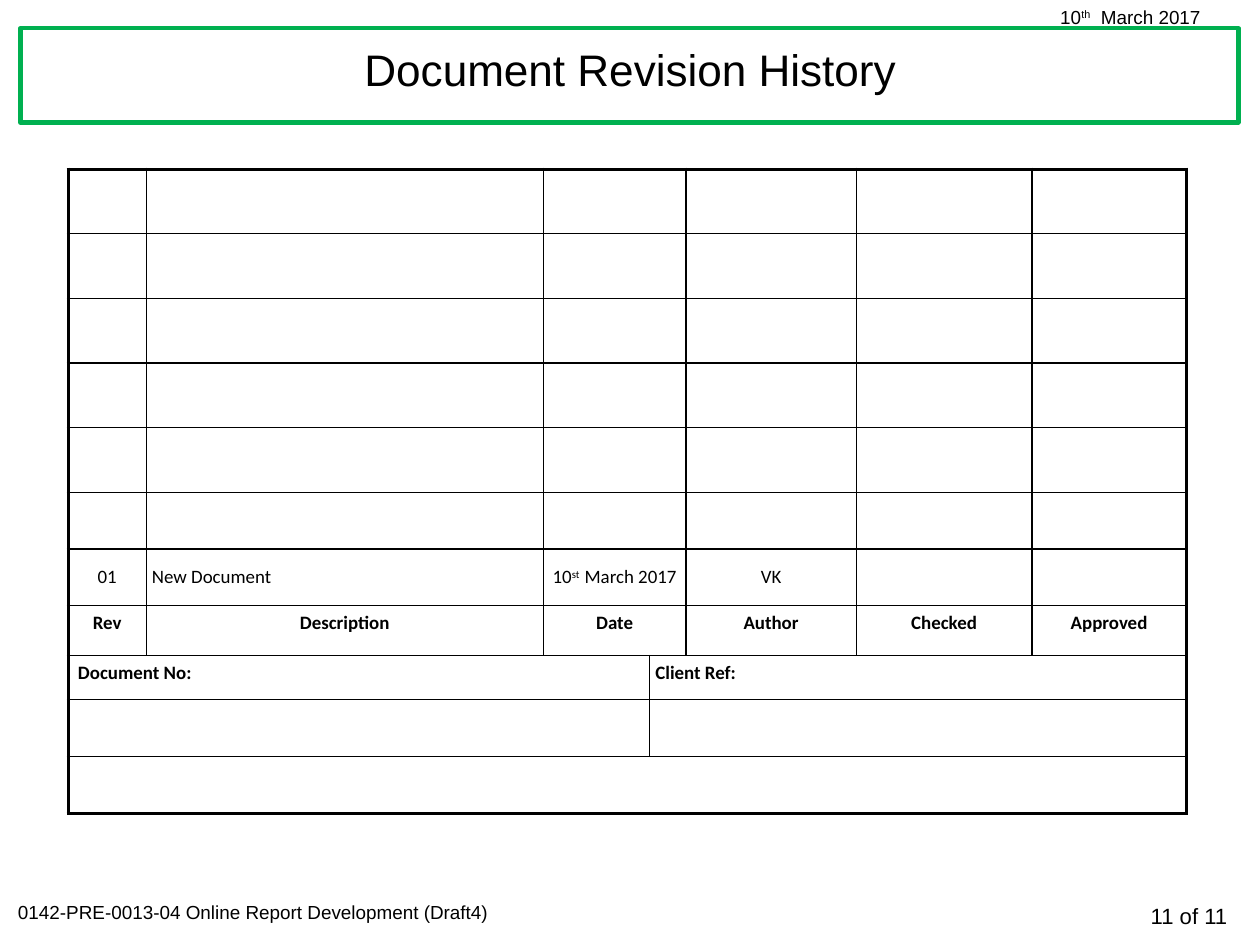
from lxml import etree
from pptx import Presentation
from pptx.dml.color import RGBColor
from pptx.enum.shapes import MSO_SHAPE
from pptx.enum.text import MSO_ANCHOR, PP_ALIGN
from pptx.oxml.ns import qn
from pptx.util import Inches, Pt

RECTANGLE = MSO_SHAPE.RECTANGLE
LEFT, CENTER, RIGHT = PP_ALIGN.LEFT, PP_ALIGN.CENTER, PP_ALIGN.RIGHT
TOP, MIDDLE = MSO_ANCHOR.TOP, MSO_ANCHOR.MIDDLE

BLACK, WHITE, GREEN = "000000", "FFFFFF", "00B050"
THIN, THICK = 1, 2.25
COLUMN_WIDTHS = [0.69, 3.5, 0.94, 0.32, 1.5, 1.55, 1.36]
ROW_HEIGHTS = [0.57] * 5 + [0.5, 0.5, 0.44, 0.39, 0.5, 0.5]
REVISION_SPANS = [(0, 0), (1, 1), (2, 3), (4, 4), (5, 5), (6, 6)]
REFERENCE_SPANS = [(0, 2), (3, 6)]
ROW_SPANS = [REVISION_SPANS] * 8 + [REFERENCE_SPANS] * 2 + [[(0, 6)]]
REVISION_ROW, HEADING_ROW, REFERENCE_ROW = 6, 7, 8
REVISION = {0: "01", 1: "New Document", 2: [("10", 0), ("st  ", 30), ("March 2017", 0)], 4: "VK"}
HEADINGS = {0: "Rev", 1: "Description", 2: "Date", 4: "Author", 5: "Checked", 6: "Approved"}
REFERENCES = {0: " Document No:", 3: "Client Ref:"}


def color(value):
    return RGBColor.from_string(value)


def write(frame, text, font="Arial", size=12, bold=False, align=LEFT,
          line_spacing=None, space_before=None):
    para = frame.paragraphs[0]
    para.alignment = align
    para.line_spacing = line_spacing
    para.space_before = space_before
    spans = [(text, 0)] if isinstance(text, str) else text
    for content, baseline in spans:
        span = para.add_run()
        span.text = content
        span.font.name = font
        span.font.size = Pt(size)
        span.font.bold = bold
        span.font.color.rgb = color(BLACK)
        if baseline:
            span.font._element.set("baseline", str(baseline * 1000))


class Page:
    def __init__(self, deck):
        self.shapes = deck.slides.add_slide(deck.slide_layouts[6]).shapes

    def frame(self, left, top, width, height):
        box = self.shapes.add_shape(RECTANGLE, Inches(left), Inches(top),
                                    Inches(width), Inches(height))
        box.shadow.inherit = False
        box.fill.solid()
        box.fill.fore_color.rgb = color(WHITE)
        box.line.color.rgb = color(GREEN)
        box.line.width = Pt(2.75)

    def text(self, left, top, width, height, text, anchor=TOP, **style):
        box = self.shapes.add_textbox(Inches(left), Inches(top),
                                      Inches(width), Inches(height))
        box.text_frame.word_wrap = True
        box.text_frame.vertical_anchor = anchor
        write(box.text_frame, text, **style)

    def table(self, left, top, widths, heights):
        table = self.shapes.add_table(
            len(heights), len(widths), Inches(left), Inches(top),
            Inches(sum(widths)), Inches(sum(heights))).table
        table.first_row = False
        table.horz_banding = False
        for column, width in zip(table.columns, widths):
            column.width = Inches(width)
        for row, height in zip(table.rows, heights):
            row.height = Inches(height)
        return table

    def borders(self, cell, **widths):
        properties = cell._tc.get_or_add_tcPr()
        for position, (side, width) in enumerate(widths.items()):
            line = etree.Element(qn("a:" + side), w=str(Pt(width)))
            fill = etree.SubElement(line, qn("a:solidFill"))
            etree.SubElement(fill, qn("a:srgbClr"), val=BLACK)
            properties.insert(position, line)

    def cell(self, cell, text="", anchor=TOP, **style):
        cell.fill.solid()
        cell.fill.fore_color.rgb = color(WHITE)
        cell.vertical_anchor = anchor
        cell.margin_left = cell.margin_right = Inches(0.05)
        cell.margin_top = cell.margin_bottom = Inches(0.05)
        if text:
            write(cell.text_frame, text, font="Calibri", **style)


def add_revision_history(page):
    table = page.table(0.6, 1.49, COLUMN_WIDTHS, ROW_HEIGHTS)
    last_row, last_column = len(ROW_HEIGHTS) - 1, len(COLUMN_WIDTHS) - 1
    for row, spans in enumerate(ROW_SPANS):
        for first, last in spans:
            cell = table.cell(row, first)
            if last > first:
                cell.merge(table.cell(row, last))
            page.cell(cell)
            for column in range(first, last + 1):
                page.borders(
                    table.cell(row, column),
                    lnL=THICK if first == 0 else THIN,
                    lnR=THICK if last == last_column else THIN,
                    lnT=THICK if row == 0 else THIN,
                    lnB=THICK if row == last_row else THIN)
    for column, text in REVISION.items():
        page.cell(table.cell(REVISION_ROW, column), text, MIDDLE,
                  align=LEFT if column == 1 else CENTER)
    for column, text in HEADINGS.items():
        page.cell(table.cell(HEADING_ROW, column), text, bold=True, align=CENTER)
    for column, text in REFERENCES.items():
        page.cell(table.cell(REFERENCE_ROW, column), text, bold=True)


def main():
    deck = Presentation()
    deck.slide_width, deck.slide_height = Inches(11.11), Inches(8.33)
    page = Page(deck)
    page.frame(0.18, 0.25, 10.74, 0.83)
    page.text(9.4, 7.91, 1.52, 0.34, "11 of 11", size=14, align=RIGHT)
    page.text(0.06, 7.89, 4.38, 0.3, "0142-PRE-0013-04 Online Report Development (Draft4)")
    page.text(9.25, 0, 1.68, 0.3, [("10", 0), ("th", 30), ("  March 2017", 0)])
    page.text(0.21, 0.22, 10.69, 0.83, "Document Revision History", MIDDLE,
              size=28, align=CENTER, line_spacing=0.9, space_before=Pt(10))
    add_revision_history(page)
    deck.save("out.pptx")


if __name__ == "__main__":
    main()
